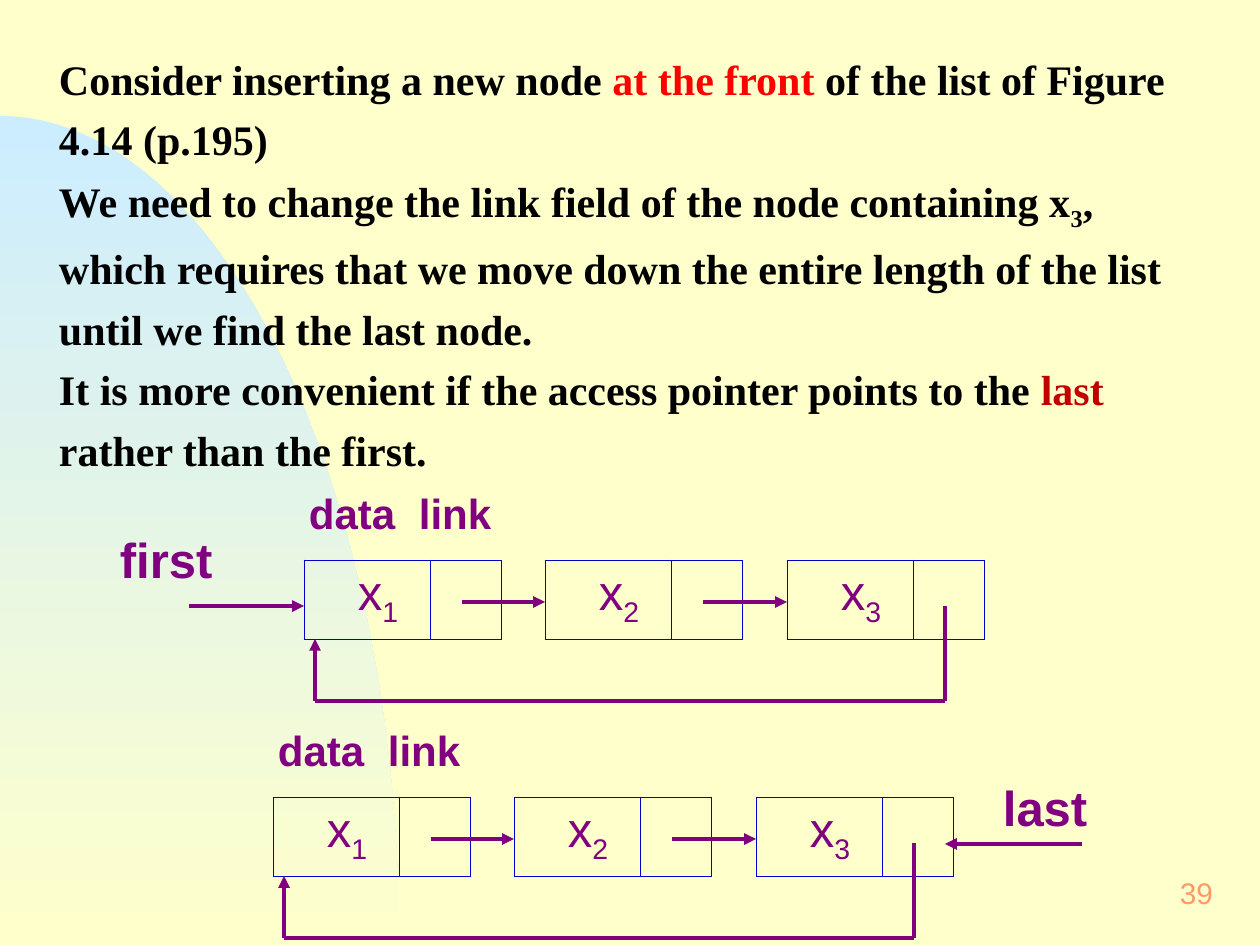
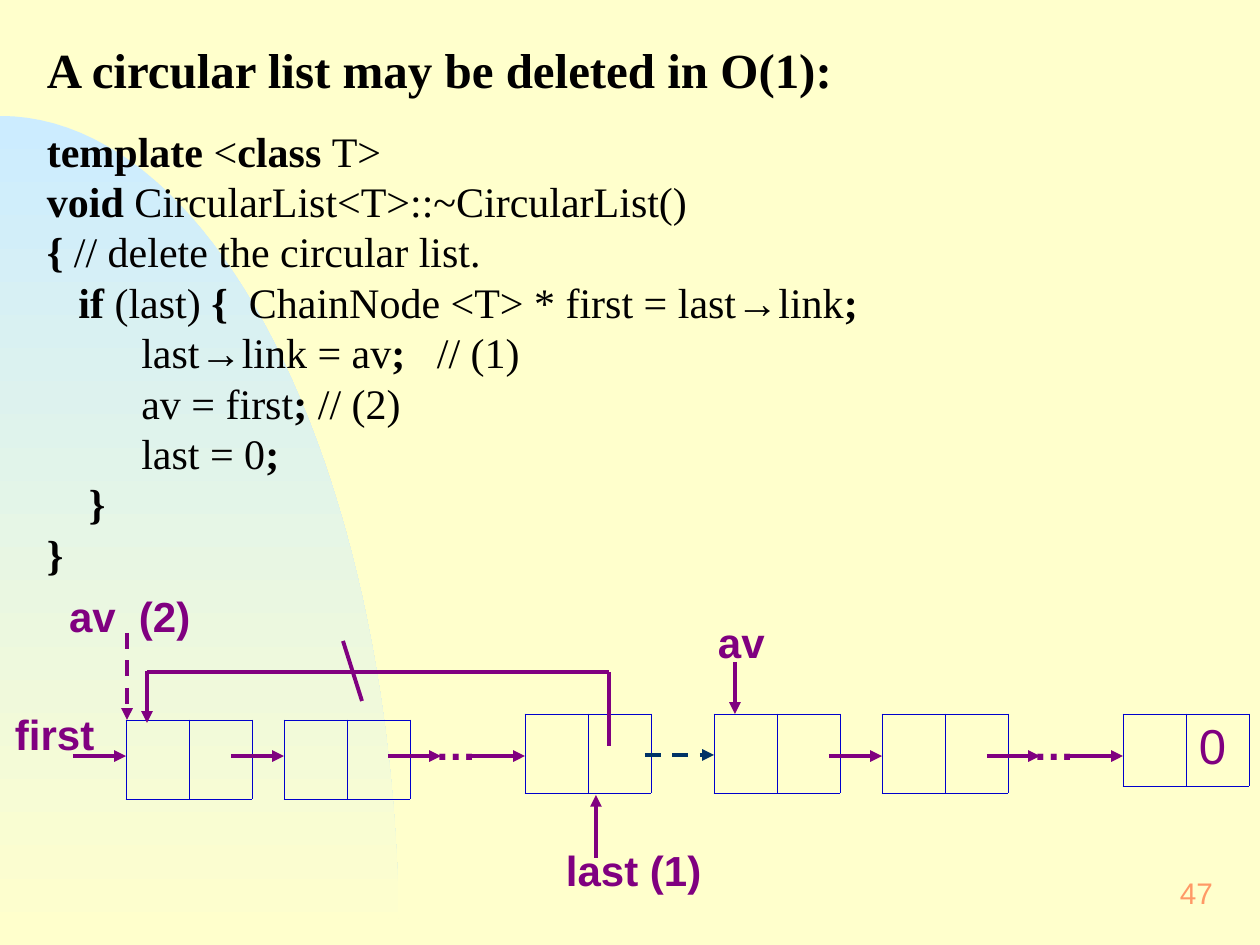
"""Build two slides on circular linked lists."""
from dataclasses import dataclass
from typing import Optional

from lxml import etree
from pptx import Presentation
from pptx.dml.color import RGBColor
from pptx.enum.dml import MSO_LINE
from pptx.enum.shapes import MSO_CONNECTOR
from pptx.enum.text import MSO_ANCHOR, PP_ALIGN
from pptx.oxml.ns import qn
from pptx.util import Emu, Pt

DASH = MSO_LINE.DASH
STRAIGHT = MSO_CONNECTOR.STRAIGHT
MIDDLE = MSO_ANCHOR.MIDDLE
LEFT, RIGHT = PP_ALIGN.LEFT, PP_ALIGN.RIGHT

EMU_PER_PX = 914400 / 126
WIDTH, HEIGHT = 1260, 945
SANS, SERIF = "Arial", "Times New Roman"
CREAM, SKY, INK = "FFFFCC", "CCECFF", "010000"
PURPLE, BLUE, TEAL = "800080", "0000CC", "003366"
RED, DARK_RED, ORANGE = "FF0000", "C00000", "FF9966"
NODE_HEIGHT = 79


@dataclass(frozen=True)
class Span:
    """A stretch of text in one format."""
    text: str
    bold: bool = True
    color: str = INK
    font: str = SERIF
    subscript: bool = False


@dataclass(frozen=True)
class Line:
    """One paragraph: its spans and spacing."""
    spans: tuple[Span, ...]
    size: int = 24
    before: int = 0
    spacing: Optional[float] = None
    align: PP_ALIGN = LEFT
    tab: int = 0


@dataclass(frozen=True)
class Box:
    """A rectangle in px."""
    left: int
    top: int
    width: int
    height: int


@dataclass(frozen=True)
class Label:
    """A purple caption, with an optional tab stop."""
    text: str
    box: Box
    size: int = 24
    tab: int = 0


@dataclass(frozen=True)
class Node:
    """A list node with a data and a link field."""
    left: int
    top: int
    data_width: int = 63
    link_width: int = 63
    height: int = NODE_HEIGHT
    data: tuple[Span, ...] = ()
    link: tuple[Span, ...] = ()
    indent: int = 13


@dataclass(frozen=True)
class Pointer:
    """A straight stroke, with an arrowhead unless it is plain."""
    x1: int
    y1: int
    x2: int
    y2: int
    arrow: bool = True
    dashed: bool = False
    color: str = PURPLE


def px(length: float) -> Emu:
    """Turn px into EMU."""
    return Emu(round(length * EMU_PER_PX))


def rgb(value: str) -> RGBColor:
    """Turn a hex string into a colour."""
    return RGBColor.from_string(value)


def write_line(paragraph, line: Line) -> None:
    """Fill a paragraph with formatted spans."""
    if line.tab:
        stops = etree.SubElement(paragraph._p.get_or_add_pPr(), qn("a:tabLst"))
        etree.SubElement(stops, qn("a:tab"), pos=str(px(line.tab)), algn="l")
    paragraph.alignment = line.align
    if line.before:
        paragraph.space_before = Pt(line.before)
    if line.spacing:
        paragraph.line_spacing = line.spacing
    for span in line.spans:
        run = paragraph.add_run()
        run.text = span.text
        run.font.name = span.font
        run.font.size = Pt(line.size)
        run.font.bold = span.bold
        run.font.color.rgb = rgb(span.color)
        if span.subscript:
            run.font._element.set("baseline", "-25000")


def add_text(slide, box: Box, lines: list[Line], anchor=None) -> None:
    """Add a text box holding the lines."""
    frame = slide.shapes.add_textbox(px(box.left), px(box.top), px(box.width), px(box.height)).text_frame
    frame.word_wrap = True
    frame.margin_left = frame.margin_right = px(15)
    frame.margin_top = frame.margin_bottom = px(8)
    if anchor is not None:
        frame.vertical_anchor = anchor
    for index, line in enumerate(lines):
        write_line(frame.add_paragraph() if index else frame.paragraphs[0], line)


def add_label(slide, label: Label) -> None:
    """Add a bold purple caption."""
    caption = Span(label.text, color=PURPLE, font=SANS)
    add_text(slide, label.box, [Line((caption,), label.size, tab=label.tab)])


def add_node(slide, node: Node) -> None:
    """Draw a node as a one-row table with thin borders."""
    widths = (node.data_width, node.link_width)
    table = slide.shapes.add_table(1, 2, px(node.left), px(node.top), px(sum(widths)), px(node.height)).table
    table.first_row = table.horz_banding = False
    table.rows[0].height = px(node.height)
    for index, (width, spans) in enumerate(zip(widths, (node.data, node.link))):
        table.columns[index].width = px(width)
        cell = table.cell(0, index)
        cell.margin_left = px(node.indent)
        cell.margin_top = cell.margin_bottom = px(6)
        cell.fill.background()
        write_line(cell.text_frame.paragraphs[0], Line(spans, 28))
        for position, side in enumerate(("lnL", "lnR", "lnT", "lnB")):
            border = etree.Element(qn(f"a:{side}"), w=str(Pt(0.45)))
            fill = etree.SubElement(border, qn("a:solidFill"))
            etree.SubElement(fill, qn("a:srgbClr"), val=BLUE)
            cell._tc.get_or_add_tcPr().insert(position, border)


def add_pointer(slide, pointer: Pointer) -> None:
    """Draw a pointer stroke."""
    ends = (pointer.x1, pointer.y1, pointer.x2, pointer.y2)
    stroke = slide.shapes.add_connector(STRAIGHT, *map(px, ends))
    stroke.line.color.rgb = rgb(pointer.color)
    stroke.line.width = Pt(2.25)
    if pointer.dashed:
        stroke.line.dash_style = DASH
    if pointer.arrow:
        etree.SubElement(stroke.line._get_or_add_ln(), qn("a:tailEnd"), type="triangle")
    etree.SubElement(stroke._element.spPr, qn("a:effectLst"))


def add_arc(slide) -> None:
    """Draw the shaded quarter arc at the left edge."""
    top, right, steps = 116, 399, 48
    curve = []
    for step in range(1, steps + 1):
        t = step / steps
        u = 1 - t
        x = 3 * u * u * t * 221 + 3 * u * t * t * right + t ** 3 * right
        y = (u ** 3 + 3 * u * u * t) * top + 3 * u * t * t * 488 + t ** 3 * HEIGHT
        curve.append((px(x), px(y)))
    builder = slide.shapes.build_freeform(0, px(top))
    builder.add_line_segments(curve + [(0, px(HEIGHT))], close=True)
    arc = builder.convert_to_shape()
    arc.shadow.inherit = False
    arc.line.fill.background()
    arc.fill.gradient()
    arc.fill.gradient_angle = 270
    for stop, color, position in zip(arc.fill.gradient_stops, (SKY, CREAM), (0, 1)):
        stop.color.rgb = rgb(color)
        stop.position = position


def add_page(deck, number: int):
    """Add a slide with the shared background, arc and page number."""
    slide = deck.slides.add_slide(deck.slide_layouts[6])
    slide.background.fill.solid()
    slide.background.fill.fore_color.rgb = rgb(CREAM)
    add_arc(slide)
    page = Span(str(number), bold=False, color=ORANGE, font=SANS)
    add_text(slide, Box(966, 861, 262, 63), [Line((page,), 17, align=RIGHT)], MIDDLE)
    return slide


def add_circular_list(slide, left: int, top: int) -> None:
    """Draw three linked nodes whose last link returns to the first."""
    lefts = [left + index * 483 // 2 for index in range(3)]
    for index, node_left in enumerate(lefts, 1):
        value = (Span("x", False, PURPLE, SANS), Span(str(index), False, PURPLE, SANS, True))
        add_node(slide, Node(node_left, top, 126, data=value, indent=54))
    for start, end in zip(lefts, lefts[1:]):
        add_pointer(slide, Pointer(start + 158, top + 42, end, top + 42))
    back, front, floor = left + 641, left + 11, top + 141
    add_pointer(slide, Pointer(back, top + 46, back, floor, arrow=False))
    add_pointer(slide, Pointer(back, floor, front, floor, arrow=False))
    add_pointer(slide, Pointer(front, floor, front, top + NODE_HEIGHT))
    add_label(slide, Label("data\tlink", Box(left - 10, top - 80, 242, 66), tab=110))


def build_insertion(deck) -> None:
    """Build the slide on inserting at the front."""
    slide = add_page(deck, 39)
    paragraphs = (
        (Span("Consider inserting a new node "), Span("at the front ", color=RED),
         Span("of the list of Figure 4.14 (p.195)")),
        (Span("We need to change the link field of the node containing x"), Span("3", subscript=True),
         Span(", which requires that we move down the entire length of the list until we find the last node.")),
        (Span("It is more convenient if the access pointer points to the "), Span("last", color=DARK_RED),
         Span(" rather than the first.")),
    )
    add_text(slide, Box(44, 35, 1166, 447), [Line(spans, spacing=1.2) for spans in paragraphs])
    add_circular_list(slide, 304, 560)
    add_circular_list(slide, 273, 797)
    add_pointer(slide, Pointer(189, 606, 304, 606))
    add_pointer(slide, Pointer(1082, 844, 945, 844))
    add_label(slide, Label("first", Box(105, 522, 136, 74), 28))
    add_label(slide, Label("last", Box(988, 770, 136, 74), 28))


def build_deletion(deck) -> None:
    """Build the slide on deleting a circular list."""
    slide = add_page(deck, 47)
    arrow = Span("→", False, font=SANS)
    semicolon = Span(";")
    code = (
        (Span("void "), Span("CircularList<T>::~CircularList()", False)),
        (Span("{"), Span(" // delete the circular list.", False)),
        (Span("   if "), Span("(last) ", False), Span("{  "),
         Span("ChainNode <T> * first = last", False), arrow, Span("link", False), semicolon),
        (Span("         last", False), arrow, Span("link = av", False), semicolon, Span("   // (1)", False)),
        (Span("         av = first", False), Span("; "), Span("// (2)", False)),
        (Span("         last = 0", False), semicolon),
        (Span("    }"),),
        (Span("}"),),
    )
    heading = Line((Span("A circular list may be deleted in O(1):"),), 28)
    template = Line((Span("template "), Span("<", False), Span("class "), Span("T>", False)), before=15)
    add_text(slide, Box(32, 32, 1207, 554), [heading, template, *map(Line, code)])

    for left, top in ((126, 720), (284, 720), (525, 714), (714, 714), (882, 714)):
        add_node(slide, Node(left, top))
    add_node(slide, Node(1123, 714, height=72, link=(Span("0", False, PURPLE, SANS),)))

    for end in (126, 284, 441, 525, 882, 1040, 1123):
        add_pointer(slide, Pointer(end - 53, 756, end, 756))
    for pointer in (
        Pointer(147, 671, 147, 723),
        Pointer(609, 672, 147, 672, arrow=False),
        Pointer(609, 672, 609, 746, arrow=False),
        Pointer(343, 641, 362, 701, arrow=False),
        Pointer(596, 858, 596, 795),
        Pointer(735, 662, 735, 714),
        Pointer(127, 633, 127, 720, dashed=True),
        Pointer(645, 755, 714, 755, dashed=True, color=TEAL),
    ):
        add_pointer(slide, pointer)
    for label in (
        Label("first", Box(0, 701, 136, 66)),
        Label("…", Box(420, 711, 73, 66)),
        Label("…", Box(1018, 711, 73, 66)),
        Label("av", Box(703, 609, 136, 66)),
        Label("av\t(2)", Box(54, 583, 169, 66), tab=70),
        Label("last (1)", Box(551, 837, 198, 66)),
    ):
        add_label(slide, label)


def main() -> None:
    """Build and save the deck."""
    deck = Presentation()
    deck.slide_width, deck.slide_height = px(WIDTH), px(HEIGHT)
    build_insertion(deck)
    build_deletion(deck)
    deck.save("out.pptx")


if __name__ == "__main__":
    main()
